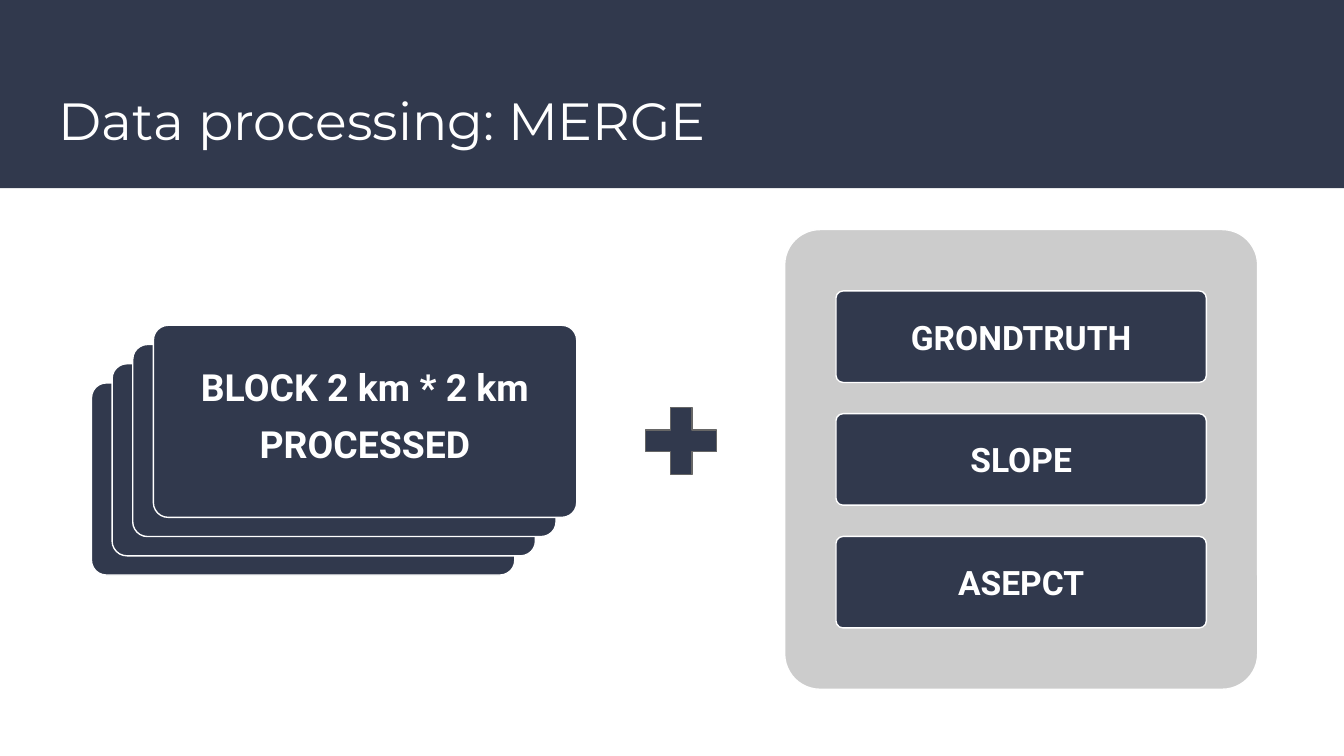
from pptx import Presentation
from pptx.dml.color import RGBColor
from pptx.enum import shapes, text
from pptx.util import Cm, Pt

NAVY = RGBColor(0x31, 0x39, 0x4D)
GREY = RGBColor(0xCC, 0xCC, 0xCC)
DARK_GREY = RGBColor(0x66, 0x66, 0x66)
WHITE = RGBColor(0xFF, 0xFF, 0xFF)
INSET = Cm(0.25)
CORNER = 0.077


def add_preset(slide, kind, box, fill=NAVY, line=WHITE, adjustment=CORNER):
    """Add a flat preset shape; box is left, top, width, height in cm."""
    shape = slide.shapes.add_shape(kind, *map(Cm, box))
    shape.shadow.inherit = False
    shape.adjustments[0] = adjustment
    shape.fill.solid()
    shape.fill.fore_color.rgb = fill
    shape.line.color.rgb = line
    shape.line.width = Pt(0.75)
    return shape


def add_card(slide, box, fill=NAVY):
    return add_preset(slide, shapes.MSO_SHAPE.ROUNDED_RECTANGLE, box, fill)


def set_margins(frame):
    frame.word_wrap = True
    frame.vertical_anchor = text.MSO_ANCHOR.MIDDLE
    frame.margin_left = frame.margin_right = INSET
    frame.margin_top = frame.margin_bottom = INSET


def write_label(shape, lines, size, gap=0):
    frame = shape.text_frame
    set_margins(frame)
    frame.text = "\n".join(lines)
    for index, paragraph in enumerate(frame.paragraphs):
        paragraph.alignment = text.PP_ALIGN.CENTER
        if index:
            paragraph.space_before = Pt(gap)
        paragraph.font.name = "Roboto"
        paragraph.font.size = Pt(size)
        paragraph.font.bold = True
        paragraph.font.color.rgb = WHITE


def add_header(slide, box, heading):
    left, top, width, height = box
    title = slide.shapes.title

    # Banner, placed behind the title
    banner = slide.shapes.add_shape(shapes.MSO_SHAPE.RECTANGLE, *map(Cm, box))
    banner.shadow.inherit = False
    banner.fill.solid()
    banner.fill.fore_color.rgb = NAVY
    banner.line.fill.background()
    title.element.addprevious(banner.element)

    # Title
    title.left, title.top = Cm(left + 0.86), Cm(top + 1.4)
    title.width, title.height = Cm(width - 1.72), Cm(1.73)
    title.text = heading
    set_margins(title.text_frame)
    paragraph = title.text_frame.paragraphs[0]
    paragraph.alignment = text.PP_ALIGN.LEFT
    paragraph.font.name = "Montserrat"
    paragraph.font.size = Pt(28)
    paragraph.font.color.rgb = WHITE


def add_block_stack(slide, box, lines, count=4):
    """Overlapping cards rising to the right, the front one labelled."""
    left, top, width, height = box
    card_width, card_height = 8, 3.63
    step_x = (width - card_width) / (count - 1)
    step_y = (height - card_height) / (count - 1)
    for index in range(count):
        card = add_card(slide, (left + index * step_x,
                                top + (count - 1 - index) * step_y,
                                card_width, card_height))
    write_label(card, lines, 20, gap=6.5)
    card.text_frame.margin_bottom = Cm(0.5)


def add_layer_panel(slide, box, names):
    """Grey panel holding one evenly spaced bar per layer."""
    left, top, width, height = box
    pad_x, pad_y, bar_height = 0.97, 1.16, 1.73
    pitch = (height - 2 * pad_y - bar_height) / (len(names) - 1)
    add_card(slide, box, GREY)
    for index, name in enumerate(names):
        bar = add_card(slide, (left + pad_x, top + pad_y + index * pitch,
                               width - 2 * pad_x, bar_height))
        write_label(bar, [name], 18)


def main():
    presentation = Presentation()
    presentation.slide_width = Cm(25.4)
    presentation.slide_height = Cm(14.29)
    slide = presentation.slides.add_slide(presentation.slide_layouts[5])

    add_header(slide, (0, 0, 25.4, 3.56), "Data processing: MERGE")
    add_block_stack(slide, (1.73, 6.15, 9.17, 4.72),
                    ["BLOCK 2 km * 2 km", "PROCESSED"])
    add_layer_panel(slide, (14.83, 4.34, 8.94, 8.69),
                    ["GRONDTRUTH", "SLOPE", "ASEPCT"])
    # Plus sign between the two groups
    add_preset(slide, shapes.MSO_SHAPE.MATH_PLUS, (11.96, 7.47, 1.83, 1.73),
               line=DARK_GREY, adjustment=0.235)

    presentation.save("out.pptx")


if __name__ == "__main__":
    main()
